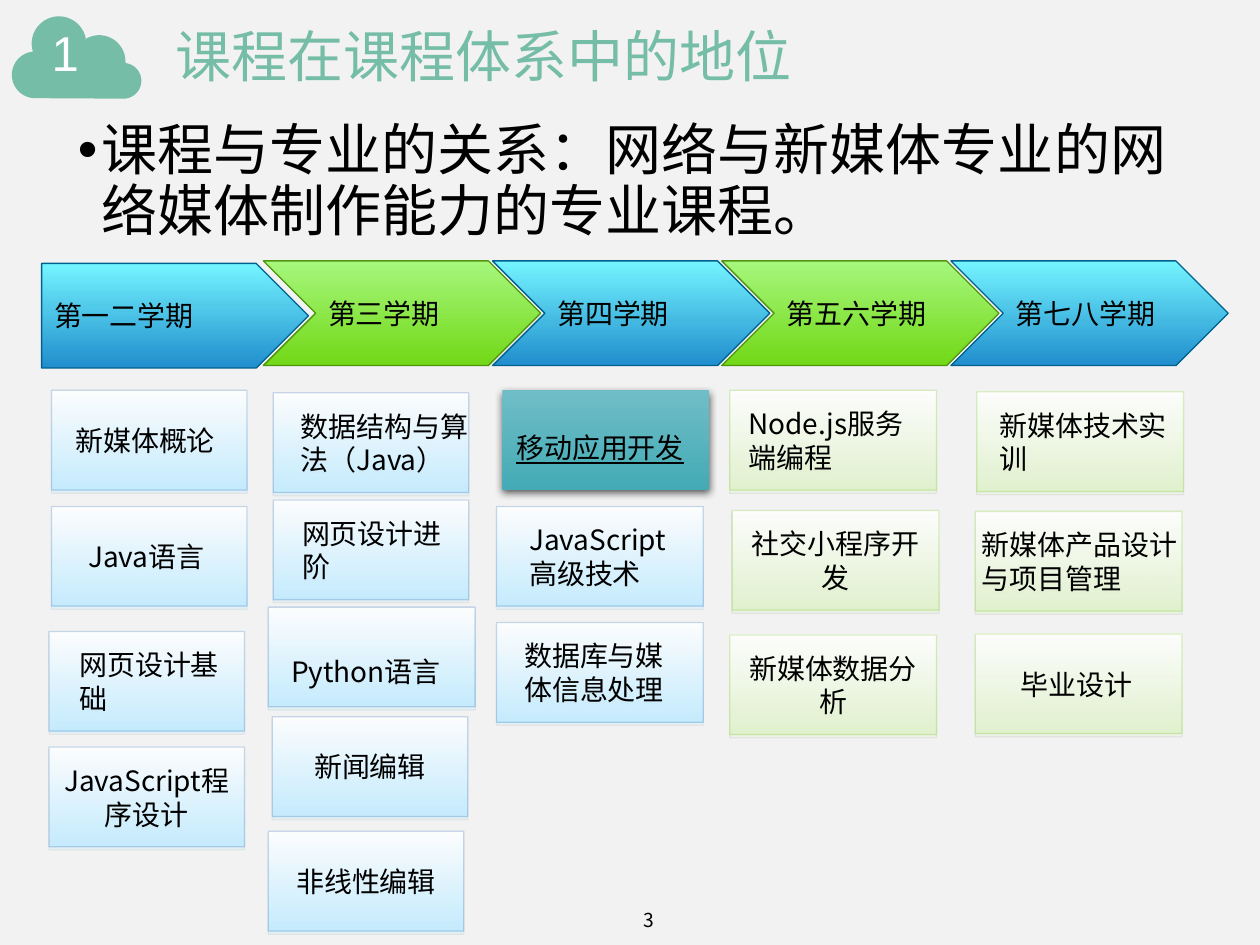
"""Build a slide that places a course within the semesters of its curriculum."""
from dataclasses import dataclass
from math import cos, radians, sin

from lxml.etree import SubElement
from pptx import Presentation
from pptx.dml.color import RGBColor
from pptx.enum.shapes import MSO_SHAPE as Shape
from pptx.enum.text import MSO_ANCHOR as Anchor, PP_ALIGN as Align
from pptx.oxml.ns import qn
from pptx.util import Cm, Pt


@dataclass(frozen=True)
class Theme:
    cjk: str = "Noto Sans CJK SC"
    number_font: str = "Noto Sans CJK KR"
    latin: str = "Arial"
    background: str = "F2F2F2"
    accent: str = "75BDA7"
    ink: str = "000000"
    white: str = "FFFFFF"
    heading: int = 32
    badge: int = 28
    label: int = 16
    number: int = 11
    blue_arrow: tuple = ("74F4FF", "208ECD", "00618E")
    green_arrow: tuple = ("A6F77D", "72D816", "4F950F")
    blue: tuple = ("FFFFFF", "C5ECFF", "4A7EBB", 0.96, (100, 92, 29))
    green: tuple = ("FFFFFF", "E1F2CE", "92D050", 0.97, (100, 93, 35))
    focus: tuple = ("6FBEC7", "44AAB5", None, 1, (100, 100))
    soft_shadow: tuple = ("808080", 35, 0, 1.8)
    deep_shadow: tuple = ("000000", 63, 4.5, 1.5)


def write(shape, text, size, color=Theme.ink, font=Theme.cjk, align=Align.LEFT, anchor=Anchor.MIDDLE):
    frame = shape.text_frame
    frame.word_wrap = True
    frame.vertical_anchor = anchor
    frame.text = text
    paragraph = frame.paragraphs[0]
    paragraph.alignment = align
    run = paragraph.runs[0]
    run.font.size = Pt(size)
    run.font.name = font
    run.font.color.rgb = RGBColor.from_string(color)
    SubElement(run.font._element, qn("a:ea"), typeface=theme.cjk)
    return paragraph


def paint(shape, top, bottom, outline, end=1):
    shape.shadow.inherit = False
    shape.fill.gradient()
    shape.fill.gradient_angle = 270
    for stop, color, position in zip(shape.fill.gradient_stops, (top, bottom), (0, end)):
        stop.color.rgb = RGBColor.from_string(color)
        stop.position = position
    if outline:
        shape.line.color.rgb = RGBColor.from_string(outline)
        shape.line.width = Pt(0.75)
    else:
        shape.line.fill.background()


theme = Theme()
deck = Presentation()
deck.slide_width, deck.slide_height = Cm(25.4), Cm(19.05)
slide = deck.slides.add_slide(deck.slide_layouts[6])
slide.background.fill.solid()
slide.background.fill.fore_color.rgb = RGBColor.from_string(theme.background)
shapes = slide.shapes

cloud_arcs = [
    (1.19, 0.88, 0.55, 163, 353),
    (2, 1.24, 0.53, 237, 363),
    (2.49, 1.63, 0.36, 278, 450),
    (0.71, 1.51, 0.47, 90, 260),
]
outline = [
    (Cm(x + radius * cos(radians(angle))), Cm(y + radius * sin(radians(angle))))
    for x, y, radius, first, last in cloud_arcs
    for angle in range(first, last + 1, 5)
]
builder = shapes.build_freeform(*outline[0])
builder.add_line_segments(outline[1:], close=True)
cloud = builder.convert_to_shape()
cloud.shadow.inherit = False
cloud.fill.solid()
cloud.fill.fore_color.rgb = RGBColor.from_string(theme.accent)
cloud.line.fill.background()

badge = shapes.add_textbox(Cm(0.79), Cm(0.33), Cm(1.52), Cm(1.45))
write(badge, "1", theme.badge, theme.white, theme.latin, anchor=Anchor.TOP)

title = shapes.add_textbox(Cm(3.28), Cm(0.28), Cm(19.66), Cm(1.85))
write(title, "课程在课程体系中的地位", theme.heading, theme.accent).line_spacing = 0.9

relation = shapes.add_textbox(Cm(1.32), Cm(2.34), Cm(22.66), Cm(2.59))
bullet = write(
    relation, "课程与专业的关系：网络与新媒体专业的网络媒体制作能力的专业课程。", theme.heading, anchor=Anchor.TOP
)
bullet.line_spacing = 0.9
bullet.space_before = Pt(7.5)
bullet_format = bullet._p.get_or_add_pPr()
bullet_format.set("marL", str(Cm(0.48)))
bullet_format.set("indent", str(Cm(-0.48)))
SubElement(bullet_format, qn("a:buFont"), typeface=theme.latin)
SubElement(bullet_format, qn("a:buChar"), char="•")

semesters = ["第一二学期", "第三学期", "第四学期", "第五六学期", "第七八学期"]
for index, semester in enumerate(semesters):
    if index == 0:
        arrow = shapes.add_shape(Shape.PENTAGON, Cm(0.84), Cm(5.31), Cm(5.38), Cm(2.11))
    else:
        arrow = shapes.add_shape(Shape.CHEVRON, Cm(5.31 + 4.62 * (index - 1)), Cm(5.26), Cm(5.59), Cm(2.11))
    paint(arrow, *(theme.green_arrow if index % 2 else theme.blue_arrow))
    write(arrow, semester, theme.label, font=theme.latin)

narrow, wide = 3.94, 4.17
courses = [
    ("新媒体概论", 1.04, 7.87, narrow, theme.blue, 0.48),
    ("Java语言", 1.04, 10.21, narrow, theme.blue, 0.74),
    ("网页设计基础", 0.99, 12.73, narrow, theme.blue, 0.61),
    ("JavaScript程序设计", 0.99, 15.06, narrow, theme.blue, None),
    ("数据结构与算法（Java）", 5.51, 7.92, narrow, theme.blue, 0.55),
    ("网页设计进阶", 5.51, 10.08, narrow, theme.blue, 0.58),
    ("Python语言", 5.41, 12.24, wide, theme.blue, 0.46),
    ("新闻编辑", 5.49, 14.45, narrow, theme.blue, None),
    ("非线性编辑", 5.41, 16.76, narrow, theme.blue, None),
    ("移动应用开发", 10.13, 7.87, wide, theme.focus, 0.28),
    ("JavaScript高级技术", 10.01, 10.21, wide, theme.blue, 0.66),
    ("数据库与媒体信息处理", 10.01, 12.55, wide, theme.blue, 0.56),
    ("Node.js服务端编程", 14.71, 7.87, wide, theme.green, 0.38),
    ("社交小程序开发", 14.76, 10.29, wide, theme.green, None),
    ("新媒体数据分析", 14.71, 12.8, wide, theme.green, None),
    ("新媒体技术实训", 19.69, 7.9, wide, theme.green, 0.46),
    ("新媒体产品设计与项目管理", 19.66, 10.31, wide, theme.green, 0.13),
    ("毕业设计", 19.66, 12.78, wide, theme.green, 0.91),
]
unpadded_right = {"数据结构与算法（Java）", "新媒体产品设计与项目管理"}
lowered = {"Python语言": 0.7, "移动应用开发": 0.42}
for course, left, top, width, style, indent in courses:
    card = shapes.add_shape(Shape.RECTANGLE, Cm(left), Cm(top), Cm(width), Cm(2.01))
    *colors, end, opacities = style
    paint(card, *colors, end)
    properties = card._element.spPr
    for color, opacity in zip(properties.findall(".//" + qn("a:srgbClr")), opacities):
        if opacity < 100:
            SubElement(color, qn("a:alpha"), val=str(opacity * 1000))
    tint, opacity, blur, distance = theme.deep_shadow if style is theme.focus else theme.soft_shadow
    shadow = SubElement(
        properties.find(qn("a:effectLst")), qn("a:outerShdw"),
        blurRad=str(Pt(blur)), dist=str(Pt(distance)), dir="5400000", rotWithShape="0",
    )
    shade = SubElement(shadow, qn("a:srgbClr"), val=tint)
    SubElement(shade, qn("a:alpha"), val=str(opacity * 1000))
    label = write(card, course, theme.label, align=Align.CENTER if indent is None else Align.LEFT)
    label.runs[0].font.underline = True if style is theme.focus else None
    card.text_frame.margin_left = Cm(0.25 if indent is None else indent)
    card.text_frame.margin_right = Cm(0 if course in unpadded_right else 0.25)
    card.text_frame.margin_top = Cm(lowered.get(course, 0.13))

page_number = shapes.add_textbox(Cm(12.07), Cm(18.03), Cm(2.03), Cm(1.02))
write(page_number, "3", theme.number, font=theme.number_font, align=Align.CENTER)

deck.save("out.pptx")
